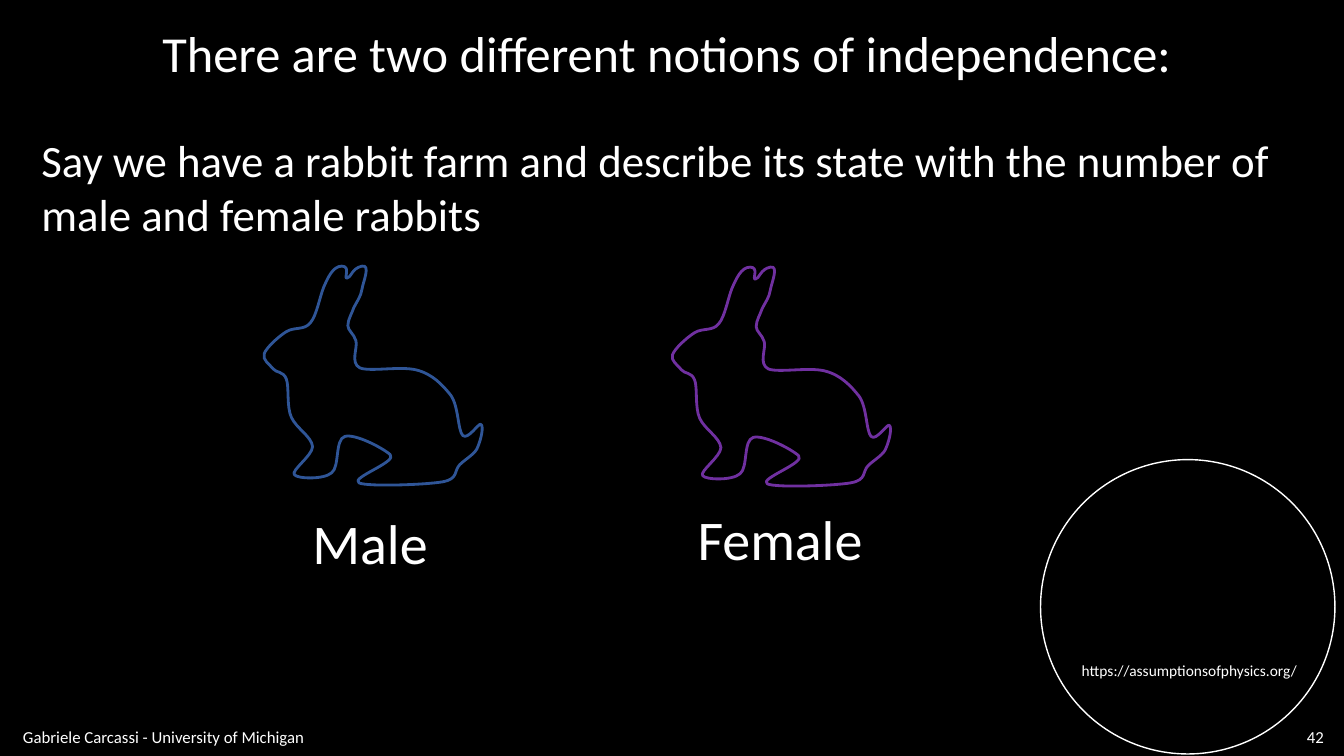
from lxml import etree
from pptx import Presentation
from pptx.dml.color import RGBColor
from pptx.enum.shapes import MSO_SHAPE as SHAPE
from pptx.enum.text import MSO_ANCHOR as ANCHOR, MSO_AUTO_SIZE as AUTO, PP_ALIGN as ALIGN
from pptx.oxml.ns import qn
from pptx.util import Pt

PX = 9144  # EMU per px, 100 px to the inch
COLORS = {"bg": "000000", "text": "FFFFFF", "male": "2F5597", "female": "7030A0"}

# Rabbit outline: start point, then two control points and an end point per curve
RABBIT_START = (308, 320)
RABBIT_CURVES = [
    (314, 313, 317, 295, 321, 285), (325, 276, 330, 264, 339, 264),
    (348, 264, 341, 276, 344, 276), (348, 276, 349, 266, 359, 264),
    (368, 262, 360, 280, 359, 287), (358, 294, 354, 299, 351, 305),
    (349, 311, 345, 317, 345, 323), (345, 328, 351, 331, 353, 338),
    (355, 345, 347, 360, 357, 365), (367, 369, 397, 363, 413, 367),
    (429, 371, 439, 382, 447, 392), (455, 403, 454, 427, 459, 432),
    (464, 437, 475, 419, 477, 421), (480, 423, 477, 436, 474, 443),
    (472, 450, 462, 455, 456, 461), (450, 467, 455, 475, 439, 478),
    (422, 481, 364, 483, 356, 479), (347, 474, 395, 458, 387, 451),
    (379, 444, 352, 430, 342, 433), (332, 436, 337, 463, 329, 469),
    (321, 476, 295, 475, 292, 471), (288, 467, 310, 452, 310, 443),
    (309, 433, 294, 425, 289, 414), (284, 403, 287, 384, 284, 376),
    (281, 368, 274, 370, 271, 366), (267, 361, 260, 357, 262, 351),
    (264, 345, 276, 334, 284, 329), (292, 324, 302, 328, 308, 320),
]


def rgb(name):
    return RGBColor.from_string(COLORS[name])


def write(tf, text, size, align=ALIGN.LEFT, anchor=ANCHOR.TOP, wrap=False):
    """Fill a text frame, one paragraph per line of text."""
    tf.word_wrap = wrap
    tf.auto_size = AUTO.NONE if wrap else AUTO.SHAPE_TO_FIT_TEXT
    tf.vertical_anchor = anchor
    for i, line in enumerate(text.split("\n")):
        p = tf.paragraphs[0] if i == 0 else tf.add_paragraph()
        p.alignment = align
        p.space_before = Pt(0)
        r = p.add_run()
        r.text = line
        r.font.name = "Calibri"
        r.font.size = Pt(size)
        r.font.color.rgb = rgb("text")


class SlideBuilder:
    def __init__(self, prs):
        self.s = prs.slides.add_slide(prs.slide_layouts[1])
        self.s.background.fill.solid()
        self.s.background.fill.fore_color.rgb = rgb("bg")

    def placeholder(self, index, box, text, size):
        sp = self.s.placeholders[index]
        sp.left, sp.top, sp.width, sp.height = (v * PX for v in box)
        write(sp.text_frame, text, size)
        for p in sp.text_frame.paragraphs:  # no bullet, no indent
            pPr = p._p.get_or_add_pPr()
            pPr.set("marL", "0")
            pPr.set("indent", "0")
            etree.SubElement(pPr, qn("a:buNone"))

    def text(self, box, text, size, **style):
        sp = self.s.shapes.add_textbox(*(v * PX for v in box))
        write(sp.text_frame, text, size, **style)

    def outline(self, sp, color, width):
        sp.shadow.inherit = False
        sp.fill.background()
        sp.line.color.rgb = rgb(color)
        sp.line.width = Pt(width)

    def circle(self, box, color, width):
        sp = self.s.shapes.add_shape(SHAPE.OVAL, *(v * PX for v in box))
        self.outline(sp, color, width)

    def rabbit(self, dx, dy, color):
        ends = [curve[4:] for curve in RABBIT_CURVES]
        left, top = (min(values) for values in zip(*ends))
        builder = self.s.shapes.build_freeform(*RABBIT_START, scale=float(PX))
        builder.add_line_segments(ends, close=True)
        sp = builder.convert_to_shape(dx * PX, dy * PX)
        # Bend each straight segment into its curve
        segments = list(sp._element.iter(qn("a:lnTo")))
        for segment, curve in zip(segments, RABBIT_CURVES):
            bend = etree.Element(qn("a:cubicBezTo"))
            for x, y in zip(curve[::2], curve[1::2]):
                etree.SubElement(bend, qn("a:pt"), x=str(x - left), y=str(y - top))
            segment.getparent().replace(segment, bend)
        self.outline(sp, color, 2)


def main():
    prs = Presentation()
    prs.slide_width, prs.slide_height = 1333 * PX, 750 * PX
    slide = SlideBuilder(prs)

    # Site badge and footer
    slide.circle((1032, 456, 292, 292), "text", 1)
    slide.text((1063, 651, 235, 29), "https://assumptionsofphysics.org/", 11)
    slide.text((13, 718, 653, 26), "Gabriele Carcassi - University of Michigan", 12,
               anchor=ANCHOR.MIDDLE, wrap=True)
    slide.text((1262, 718, 61, 25), "42", 12, align=ALIGN.RIGHT, anchor=ANCHOR.MIDDLE, wrap=True)

    # Title and statement
    slide.placeholder(0, (151, 17, 1031, 71),
                      "There are two different notions of independence:", 36)
    slide.placeholder(1, (31, 127, 1261, 118),
                      "Say we have a rabbit farm and describe its state with the number of\n"
                      "male and female rabbits", 32)

    # Rabbits and their labels
    slide.text((300, 500, 136, 77), "Male", 40)
    slide.text((682, 496, 185, 77), "Female", 40)
    slide.rabbit(0, 0, "male")
    slide.rabbit(405, 1, "female")

    prs.save("out.pptx")


if __name__ == "__main__":
    main()
